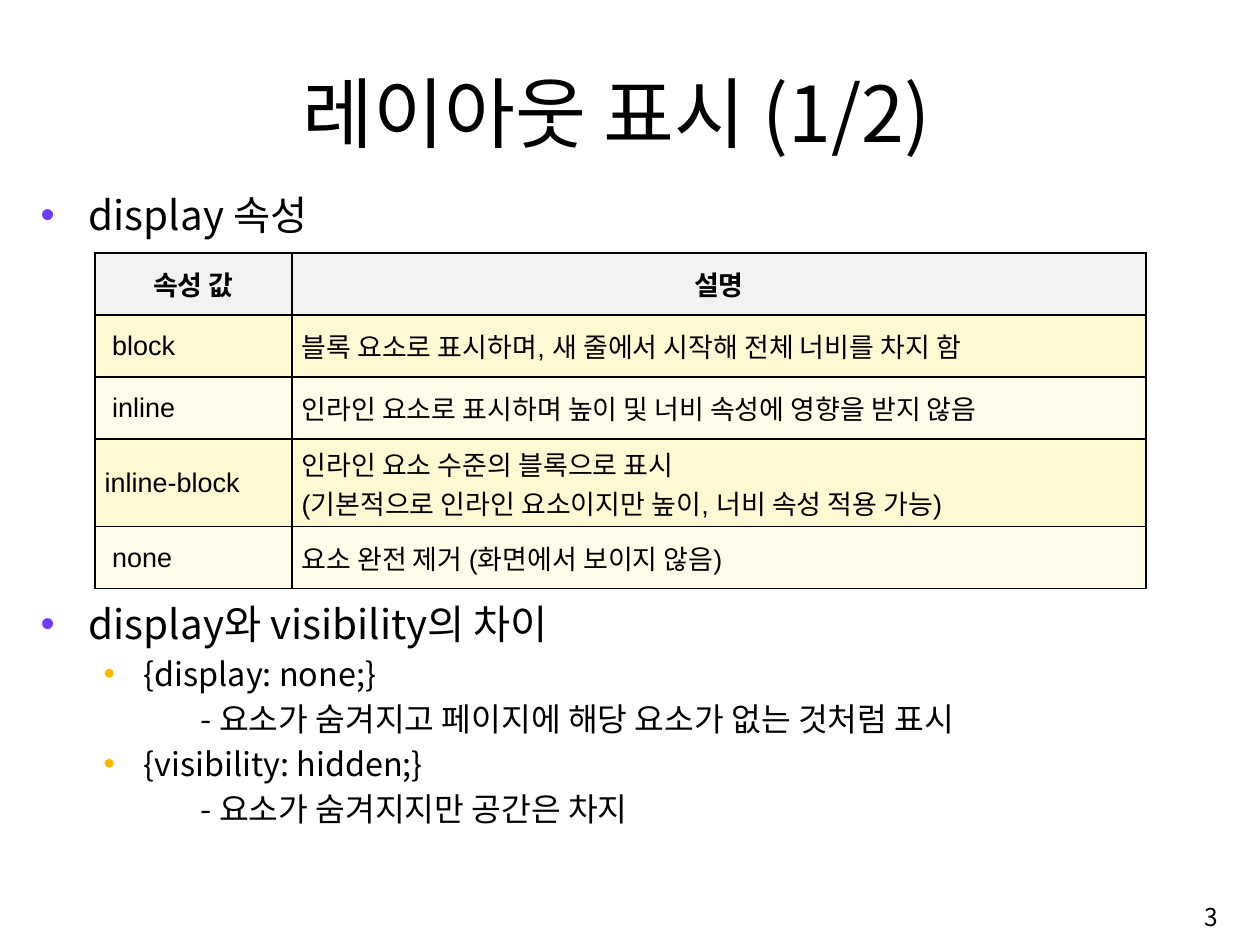
import dataclasses

import lxml.etree
import pptx
import pptx.dml.color
import pptx.enum.text
import pptx.oxml.ns
import pptx.util

EMU_PER_PX = 9427
SANS = "Noto Sans CJK KR"
COLORS = {
    "text": "000000",
    "header": "F2F2F2",
    "odd": "FFF9D3",
    "even": "FFFCEA",
    "violet": "703DFF",
    "amber": "FFB800",
}
ALIGN = pptx.enum.text.PP_ALIGN
ANCHOR = pptx.enum.text.MSO_ANCHOR
qn = pptx.oxml.ns.qn


@dataclasses.dataclass(frozen=True)
class Style:
    level: int
    size: int
    margin: int
    indent: int
    line: int
    bullet: str = ""


@dataclasses.dataclass(frozen=True)
class Item:
    text: str
    style: Style
    before: int = 0


@dataclasses.dataclass(frozen=True)
class Row:
    value: str
    description: str
    height: int
    fill: str


TOPIC = Style(0, 30, 48, -48, 51, "violet")
RULE = Style(1, 24, 103, -40, 45, "amber")
EFFECT = Style(1, 24, 160, 0, 45)

ITEMS = [
    Item("display 속성", TOPIC),
    Item("display와 visibility의 차이", TOPIC, 358),
    Item("{display: none;}", RULE),
    Item("- 요소가 숨겨지고 페이지에 해당 요소가 없는 것처럼 표시", EFFECT),
    Item("{visibility: hidden;}", RULE),
    Item("- 요소가 숨겨지지만 공간은 차지", EFFECT),
]
ROWS = [
    Row("속성 값", "설명", 62, "header"),
    Row(" block", "블록 요소로 표시하며, 새 줄에서 시작해 전체 너비를 차지 함", 62, "odd"),
    Row(" inline", "인라인 요소로 표시하며 높이 및 너비 속성에 영향을 받지 않음", 62, "even"),
    Row(
        "inline-block",
        "인라인 요소 수준의 블록으로 표시\n(기본적으로 인라인 요소이지만 높이, 너비 속성 적용 가능)",
        88,
        "odd",
    ),
    Row(" none", "요소 완전 제거 (화면에서 보이지 않음)", 62, "even"),
]
COLUMNS = (197, 854)


def px(n: int) -> pptx.util.Emu:
    return pptx.util.Emu(n * EMU_PER_PX)


def rgb(name: str) -> pptx.dml.color.RGBColor:
    return pptx.dml.color.RGBColor.from_string(COLORS[name])


def place(sp, left: int, top: int, width: int, height: int) -> None:
    sp.left, sp.top, sp.width, sp.height = map(px, (left, top, width, height))


def format_runs(p, size: float, font: str = SANS, bold: bool = False) -> None:
    for r in p.runs:
        r.font.size = pptx.util.Pt(size)
        r.font.name = font
        r.font.bold = bold
        r.font.color.rgb = rgb("text")
        latin = r.font._element.find(qn("a:latin"))
        east_asian = lxml.etree.Element(qn("a:ea"), typeface=SANS)
        latin.addnext(east_asian)


def set_line(tf, text: str, size: float, align) -> None:
    tf.text = text
    tf.word_wrap = True
    tf.auto_size = pptx.enum.text.MSO_AUTO_SIZE.NONE
    tf.vertical_anchor = ANCHOR.MIDDLE
    p = tf.paragraphs[0]
    p.alignment = align
    format_runs(p, size)


def add_item(p, item: Item) -> None:
    style = item.style
    p.text = item.text
    p.level = style.level
    p.line_spacing = px(style.line)
    p.space_before = px(item.before)
    format_runs(p, style.size)
    pPr = p._p.get_or_add_pPr()
    pPr.set("marL", str(px(style.margin)))
    pPr.set("indent", str(px(style.indent)))
    if style.bullet:
        color = lxml.etree.SubElement(pPr, qn("a:buClr"))
        lxml.etree.SubElement(color, qn("a:srgbClr"), val=COLORS[style.bullet])
        lxml.etree.SubElement(pPr, qn("a:buFont"), typeface="Arial")
        lxml.etree.SubElement(pPr, qn("a:buChar"), char="•")
    else:
        lxml.etree.SubElement(pPr, qn("a:buNone"))


def add_borders(cell) -> None:
    tcPr = cell._tc.get_or_add_tcPr()
    for i, side in enumerate(("lnL", "lnR", "lnT", "lnB")):
        ln = lxml.etree.Element(qn(f"a:{side}"), w=str(pptx.util.Pt(1)))
        fill = lxml.etree.SubElement(ln, qn("a:solidFill"))
        lxml.etree.SubElement(fill, qn("a:srgbClr"), val=COLORS["text"])
        tcPr.insert(i, ln)


def add_property_table(slide) -> None:
    height = sum(row.height for row in ROWS)
    frame = slide.shapes.add_table(
        len(ROWS), len(COLUMNS), px(95), px(253), px(sum(COLUMNS)), px(height)
    )
    table = frame.table
    table.first_row = table.horz_banding = False
    for column, width in zip(table.columns, COLUMNS):
        column.width = px(width)
    for i, row in enumerate(ROWS):
        table.rows[i].height = px(row.height)
        is_header = row.fill == "header"
        for j, text in enumerate((row.value, row.description)):
            cell = table.cell(i, j)
            cell.text_frame.text = text
            cell.vertical_anchor = ANCHOR.MIDDLE
            cell.fill.solid()
            cell.fill.fore_color.rgb = rgb(row.fill)
            add_borders(cell)
            for p in cell.text_frame.paragraphs:
                p.alignment = ALIGN.CENTER if is_header else ALIGN.LEFT
                format_runs(p, 20, "Arial", is_header)


def main() -> None:
    prs = pptx.Presentation()
    prs.slide_width, prs.slide_height = px(1260), px(945)
    slide = prs.slides.add_slide(prs.slide_layouts[1])

    title = slide.shapes.title
    place(title, 102, 59, 1029, 105)
    set_line(title.text_frame, "레이아웃 표시 (1/2)", 57.2, ALIGN.CENTER)

    body = slide.placeholders[1]
    place(body, 31, 183, 1195, 703)
    tf = body.text_frame
    tf.auto_size = pptx.enum.text.MSO_AUTO_SIZE.NONE
    for i, item in enumerate(ITEMS):
        add_item(tf.add_paragraph() if i else tf.paragraphs[0], item)

    add_property_table(slide)

    number = slide.shapes.add_textbox(px(968), px(888), px(260), px(58))
    set_line(number.text_frame, "3", 18.2, ALIGN.RIGHT)

    prs.save("out.pptx")


if __name__ == "__main__":
    main()
